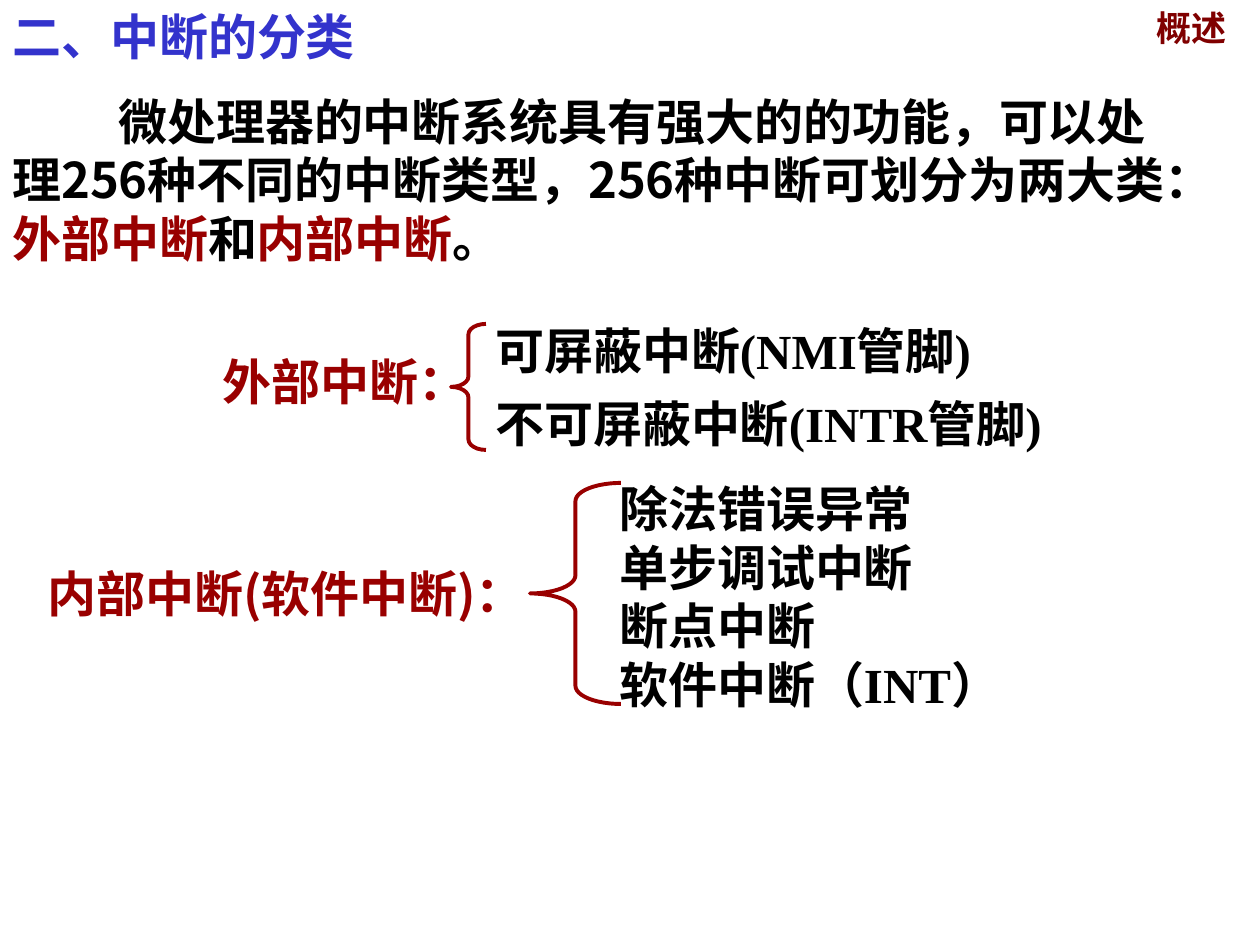
from pptx import Presentation
from pptx import util as u
from pptx.dml import color
from pptx.enum import shapes, text
from pptx.oxml import ns
from lxml import etree

PX = 914400 // 126
SANS, SERIF = "Noto Sans CJK SC", "Times New Roman"
BLACK, RED, BLUE, MAROON = "000000", "990000", "3333CC", "800000"


def px(n):
    return u.Emu(n * PX)


def rgb(value):
    return color.RGBColor.from_string(value)


def add_run(p, words, ink, font=SANS, size=28):
    r = p.add_run()
    r.text = words
    r.font.size = u.Pt(size)
    r.font.bold = True
    r.font.name = font
    r.font.color.rgb = rgb(ink)
    ea = etree.SubElement(r.font._element, ns.qn("a:ea"))
    ea.set("typeface", SANS)


def add_text(parent, box, paragraphs, font=SANS, size=28, margin=0, indent=0):
    sp = parent.add_textbox(*map(px, box))
    tf = sp.text_frame
    tf.word_wrap = True
    for i, runs in enumerate(paragraphs):
        p = tf.add_paragraph() if i else tf.paragraphs[0]
        p.alignment = text.PP_ALIGN.JUSTIFY if margin else text.PP_ALIGN.LEFT
        pPr = p._p.get_or_add_pPr()
        pPr.set("marL", str(px(margin)))
        pPr.set("indent", str(px(indent)))
        for words, ink in runs:
            add_run(p, words, ink, font, size)


def add_brace(parent, box, curve):
    sp = parent.add_shape(shapes.MSO_SHAPE.LEFT_BRACE, *map(px, box))
    sp.adjustments[0] = curve
    sp.adjustments[1] = 0.5
    sp.shadow.inherit = False
    sp.fill.background()
    sp.line.color.rgb = rgb(RED)
    sp.line.width = u.Pt(2.25)


def add_header(s, x, y, w):
    add_text(s.shapes, (x, y, 725, 72), [[("二、中断的分类", BLUE)]])
    add_text(s.shapes, (x + w - 116, y, 116, 53), [[("概述", MAROON)]], SERIF, 20)


def add_intro(s, x, y, w, h):
    runs = [
        ("微处理器的中断系统具有强大的的功能，可以处理256种不同的中断类型，256种中断可划分为两大类：", BLACK),
        ("外部中断", RED),
        ("和", BLACK),
        ("内部中断", RED),
        ("。", BLACK),
    ]
    add_text(s.shapes, (x, y, w, h), [runs], indent=106)


def add_external(s, x, y):
    group = s.shapes.add_group_shape().shapes
    add_text(group, (x, y + 31, 314, 73), [[("外部中断：", RED)]])
    items = [("可屏蔽中断(NMI管脚)", 546), ("不可屏蔽中断(INTR管脚)", 630)]
    for i, (words, w) in enumerate(items):
        add_text(group, (x + 273, y + 73 * i, w, 73), [[(words, BLACK)]], SERIF)
    add_brace(group, (x + 241, y + 10, 35, 126), 0.3)


def add_internal(s, x, y):
    add_text(s.shapes, (x, y + 85, 538, 73), [[("内部中断(软件中断)：", RED)]])
    items = ["除法错误异常", "单步调试中断", "断点中断", "软件中断（INT）"]
    add_text(s.shapes, (x + 546, y, 630, 262),
             [[(words, BLACK)] for words in items], SERIF, margin=26)
    add_brace(s.shapes, (x + 495, y + 11, 91, 221), 0.2)


def main():
    prs = Presentation()
    prs.slide_width, prs.slide_height = px(1260), px(945)
    s = prs.slides.add_slide(prs.slide_layouts[6])
    s.background.fill.solid()
    s.background.fill.fore_color.rgb = rgb("FFFFFF")
    add_header(s, 0, 0, 1260)
    add_intro(s, 0, 85, 1197, 189)
    add_external(s, 210, 314)
    add_internal(s, 35, 472)
    prs.save("out.pptx")


if __name__ == "__main__":
    main()
